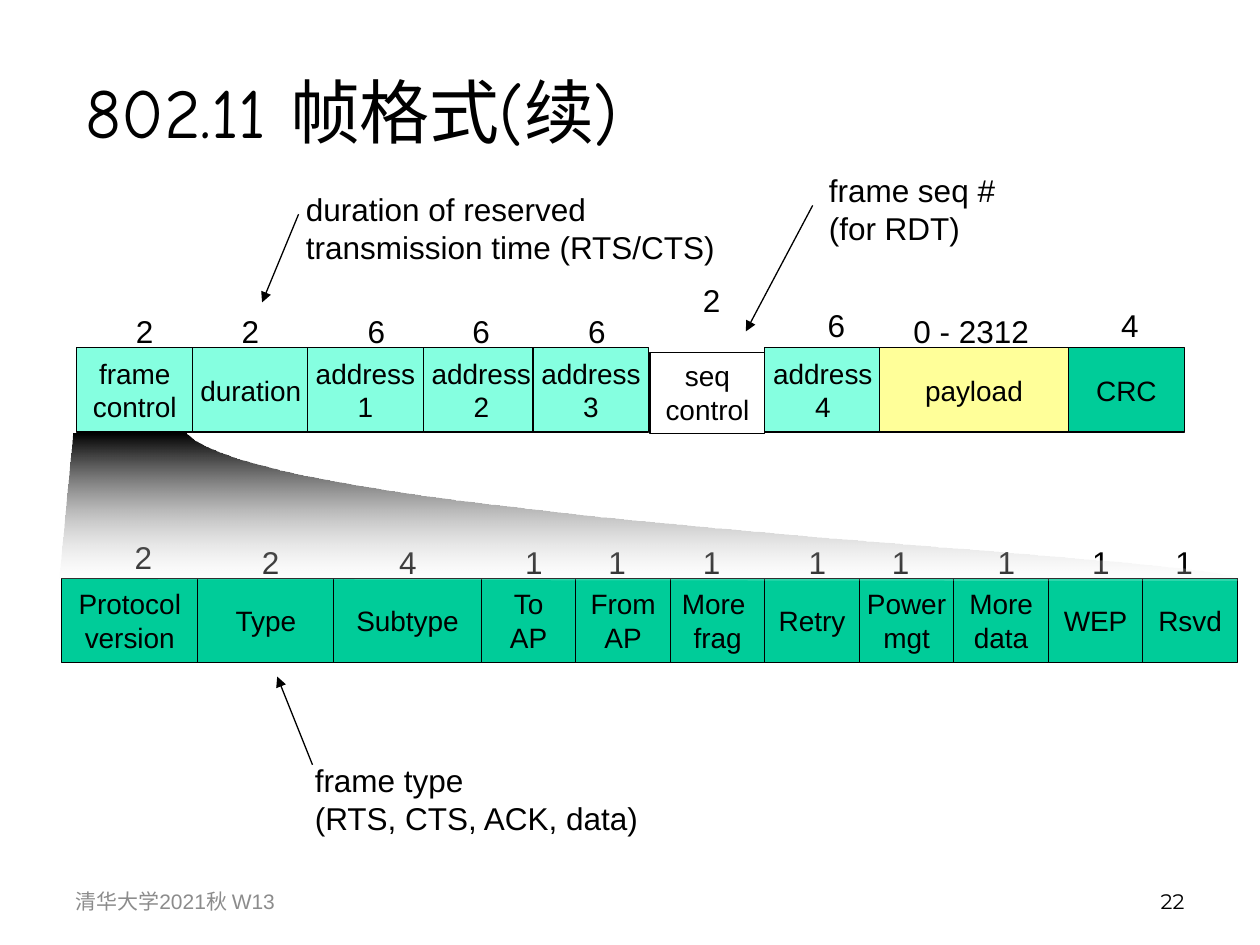
from lxml.etree import SubElement
from pptx import Presentation
from pptx.dml.color import RGBColor
from pptx.enum.shapes import MSO_CONNECTOR, MSO_SHAPE
from pptx.enum.text import MSO_ANCHOR, MSO_AUTO_SIZE, PP_ALIGN
from pptx.oxml.ns import qn
from pptx.util import Inches, Pt

COLORS = {
    "black": "000000",
    "white": "FFFFFF",
    "mint": "85FFE0",
    "yellow": "FFFF99",
    "green": "00CC99",
    "gray": "8C8C8C",
}

FRAME_FIELDS = [
    ("frame\ncontrol", 0.61, 0.92, "mint"),
    ("duration", 1.53, 0.92, "mint"),
    ("address\n1", 2.44, 0.92, "mint"),
    ("address\n2", 3.36, 0.92, "mint"),
    ("address\n3", 4.23, 0.92, "mint"),
    ("address\n4", 6.07, 0.92, "mint"),
    ("payload", 6.98, 1.5, "yellow"),
    ("CRC", 8.48, 0.92, "green"),
]
FRAME_SIZES = [
    ("2", 0.98, 2.43), ("2", 1.82, 2.43), ("6", 2.82, 2.43),
    ("6", 3.65, 2.43), ("6", 4.57, 2.43), ("2", 5.48, 2.18),
    ("6", 6.47, 2.38), ("0 - 2312", 7.15, 2.43), ("4", 8.8, 2.38),
]
CONTROL_FIELDS = [
    ("Protocol\nversion", 1.08), ("Type", 1.08), ("Subtype", 1.17),
    ("To\nAP", 0.75), ("From\nAP", 0.75), ("More \nfrag", 0.75),
    ("Retry", 0.75), ("Power\nmgt", 0.75), ("More\ndata", 0.75),
    ("WEP", 0.75), ("Rsvd", 0.75),
]
CONTROL_SIZES = [
    ("2", 0.97, 4.22), ("2", 1.98, 4.26), ("4", 3.07, 4.26),
    ("1", 4.07, 4.26), ("1", 4.73, 4.26), ("1", 5.48, 4.26),
    ("1", 6.32, 4.26), ("1", 6.98, 4.26), ("1", 7.82, 4.26),
    ("1", 8.57, 4.26), ("1", 9.23, 4.26),
]


def rgb(name):
    return RGBColor.from_string(COLORS[name])


def write(shape, text, size, align=PP_ALIGN.LEFT, anchor=MSO_ANCHOR.TOP,
          wrap=False, font="Arial", color="black"):
    frame = shape.text_frame
    frame.word_wrap = wrap
    frame.vertical_anchor = anchor
    for index, line in enumerate(text.split("\n")):
        para = frame.paragraphs[0] if index == 0 else frame.add_paragraph()
        para.text = line
        para.alignment = align
        para.font.size = Pt(size)
        para.font.name = font
        para.font.color.rgb = rgb(color)


def add_text(shapes, box, text, size, **style):
    label = shapes.add_textbox(*map(Inches, box))
    write(label, text, size, **style)
    return label


def add_field(shapes, box, text, fill, **style):
    field = shapes.add_shape(MSO_SHAPE.RECTANGLE, *map(Inches, box))
    field.shadow.inherit = False
    field.fill.solid()
    field.fill.fore_color.rgb = rgb(fill)
    field.line.color.rgb = rgb("black")
    field.line.width = Pt(0.75)
    write(field, text, 16, PP_ALIGN.CENTER, **style)


def add_sizes(shapes, sizes):
    for text, left, top in sizes:
        width = 0.34 if len(text) == 1 else 1.12
        label = add_text(shapes, (left, top, width, 0.4), text, 18)
        label.text_frame.auto_size = MSO_AUTO_SIZE.SHAPE_TO_FIT_TEXT


def add_frame_row(shapes, top, height):
    for text, left, width, fill in FRAME_FIELDS:
        add_field(shapes, (left, top, width, height), text, fill, anchor=MSO_ANCHOR.MIDDLE)
    add_sizes(shapes, FRAME_SIZES)
    add_field(shapes, (5.16, top + 0.04, 0.91, 0.64), "seq\ncontrol", "white", wrap=True)


def add_control_row(shapes, left, top, height):
    for text, width in CONTROL_FIELDS:
        add_field(shapes, (left, top, width, height), text, "green", anchor=MSO_ANCHOR.MIDDLE)
        left += width
    add_sizes(shapes, CONTROL_SIZES)


def curve(start, first, second, end, steps=40):
    points = []
    for step in range(1, steps + 1):
        t = step / steps
        weights = ((1 - t) ** 3, 3 * t * (1 - t) ** 2, 3 * t * t * (1 - t), t ** 3)
        corners = list(zip(weights, (start, first, second, end)))
        points.append(tuple(Inches(sum(w * p[axis] for w, p in corners)) for axis in (0, 1)))
    return points


def add_zoom_fan(shapes):
    builder = shapes.build_freeform(Inches(0.58), Inches(3.44))
    outline = [(Inches(0.47), Inches(4.59)), (Inches(9.83), Inches(4.61))]
    outline += curve((9.83, 4.61), (10, 4.41), (2.16, 4.15), (1.48, 3.44))
    builder.add_line_segments(outline, close=True)
    fan = builder.convert_to_shape()
    fan.shadow.inherit = False
    fan.line.fill.background()
    fan.fill.gradient()
    fan.fill.gradient_angle = 270
    for stop, color, position in zip(fan.fill.gradient_stops, ("black", "white"), (0, 1)):
        stop.color.rgb = rgb(color)
        stop.position = position
    faded = fan._element.spPr.findall(".//" + qn("a:srgbClr"))[-1]
    SubElement(faded, qn("a:alpha")).set("val", "18000")


def add_note(shapes, box, text, start, end):
    label = add_text(shapes, box, text, 18)
    label.text_frame.auto_size = MSO_AUTO_SIZE.SHAPE_TO_FIT_TEXT
    arrow = shapes.add_connector(MSO_CONNECTOR.STRAIGHT, *map(Inches, start + end))
    arrow.line.color.rgb = rgb("black")
    arrow.line.width = Pt(0.75)
    SubElement(arrow.line._get_or_add_ln(), qn("a:tailEnd")).set("type", "triangle")
    SubElement(arrow._element.spPr, qn("a:effectLst"))


def add_footer(shapes, top, height):
    middle = MSO_ANCHOR.MIDDLE
    add_text(shapes, (0.5, top, 2.33, height), "清华大学2021秋 W13", 12,
             anchor=middle, wrap=True, color="gray")
    add_text(shapes, (7.17, top, 2.33, height), "22", 12, align=PP_ALIGN.RIGHT,
             anchor=middle, wrap=True, font="Montserrat")


def main():
    deck = Presentation()
    deck.slide_width, deck.slide_height = Inches(10), Inches(7.5)
    page = deck.slides.add_slide(deck.slide_layouts[6])
    shapes = page.shapes
    add_frame_row(shapes.add_group_shape().shapes, 2.76, 0.67)
    add_control_row(shapes.add_group_shape().shapes, 0.49, 4.59, 0.67)
    add_zoom_fan(shapes)
    add_text(shapes, (0.58, 0.25, 8.5, 1.25), "802.11 帧格式(续)", 40,
             anchor=MSO_ANCHOR.MIDDLE, wrap=True, font="Comic Neue")
    add_note(shapes, (2.33, 1.46, 3.63, 0.7),
             "duration of reserved\ntransmission time (RTS/CTS)", (2.37, 1.7), (2.08, 2.4))
    add_note(shapes, (6.48, 1.31, 1.53, 0.7),
             "frame seq #\n(for RDT)", (6.45, 1.63), (5.92, 2.63))
    add_note(shapes, (2.4, 5.99, 2.82, 0.7),
             "frame type\n(RTS, CTS, ACK, data)", (2.48, 6.07), (2.2, 5.37))
    add_footer(shapes, 6.95, 0.4)
    deck.save("out.pptx")


if __name__ == "__main__":
    main()
